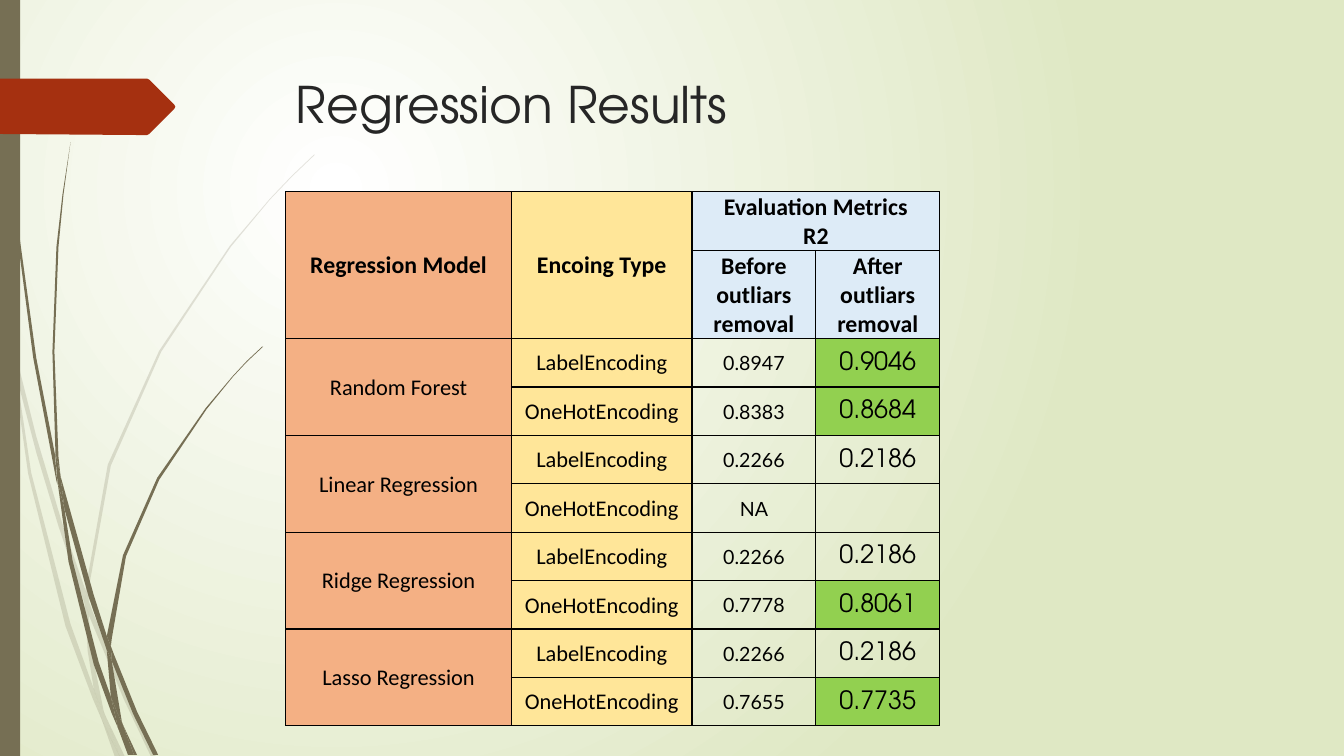
from lxml import etree
from pptx import Presentation
from pptx.dml.color import RGBColor
from pptx.enum.shapes import MSO_SHAPE
from pptx.enum.text import MSO_ANCHOR, PP_ALIGN
from pptx.oxml import parse_xml
from pptx.oxml.ns import nsdecls, qn
from pptx.util import Cm, Pt

RECTANGLE = MSO_SHAPE.RECTANGLE
CENTER, TOP, MIDDLE = PP_ALIGN.CENTER, MSO_ANCHOR.TOP, MSO_ANCHOR.MIDDLE

# Content
TITLE = "Regression Results"
HEADERS = [
    ["Regression Model", "Encoing Type", "Evaluation Metrics\vR2", ""],
    ["", "", "Before outliars removal", "After outliars removal"],
]
ENCODINGS = ["LabelEncoding", "OneHotEncoding"]
# Model, then (before, after, improved) for each encoding
RESULTS = [
    ("Random Forest", [("0.8947", "0.9046", True), ("0.8383", "0.8684", True)]),
    ("Linear Regression", [("0.2266", "0.2186", False), ("NA", "", False)]),
    ("Ridge Regression", [("0.2266", "0.2186", False), ("0.7778", "0.8061", True)]),
    ("Lasso Regression", [("0.2266", "0.2186", False), ("0.7655", "0.7735", True)]),
]

THEME = {
    "title": ("TeX Gyre Adventor", 36, "262626", False),
    "header": ("Calibri", 17, "000000", True),
    "label": ("Calibri", 16, "000000", False),
    "before": ("Lato", 14, "000000", False),
    "after": ("TeX Gyre Adventor", 18, "000000", False),
    "model": "F4B084", "encoding": "FFE699", "metric": "DDEBF7",
    "improved": "92D050", "border": "000000",
    "grass": "766F54", "tag": "A53010",
    "background": ("FFFFFF", "DFE8C4"),
}

# Layout in centimetres
COLUMN_WIDTHS = [5.69, 4.55, 3.12, 3.12]
HEADER_HEIGHTS = [1.48, 2.22]
RESULT_HEIGHT = 1.22
CELL_MARGIN = 0.03

# Outlines as (x, y) corners, in units of OUTLINE_UNIT
OUTLINE_UNIT = Cm(2.54)
PALE_GRASS = [
    [(0.11, 3.5), (0.09, 3.22), (0, 2.82), (0, 2.99), (0.1, 3.44)],
    [(0.58, 5.22), (0.84, 5.99), (0.85, 5.86), (0.62, 5.2), (0.36, 4.33), (0.14, 3.45),
     (0.17, 3.76), (0.36, 4.49)],
    [(0.92, 6.07), (0.88, 5.96), (0.88, 6.1), (1.23, 6.94), (1.5, 7.51), (1.55, 7.51),
     (1.27, 6.92)],
    [(1.19, 7.51), (1.24, 7.51), (1.05, 7.11)],
    [(0.93, 6.83), (0.7, 6.19), (0.31, 4.69), (0.17, 3.76), (0.11, 3.5), (0.28, 4.7),
     (0.65, 6.21), (0.92, 6.93), (1.01, 7.14), (0.99, 7.07)],
    [(0.84, 5.99), (0.87, 6.46), (0.93, 6.83), (0.96, 6.92), (1.05, 7.11), (1.03, 7.06),
     (0.91, 6.46), (0.88, 6.1), (0.88, 6.08)],
    [(0.88, 5.84), (1.1, 4.62), (1.6, 3.49), (2.29, 2.45), (2.68, 1.98), (2.9, 1.75),
     (3.12, 1.54), (3.12, 1.53), (2.89, 1.75), (2.68, 1.97), (2.28, 2.44), (1.58, 3.48),
     (1.07, 4.61), (0.85, 5.84), (0.85, 5.86), (0.88, 5.96)],
    [(1.01, 7.14), (1.14, 7.51), (1.19, 7.51)],
    [(0.88, 6.08), (0.88, 6.1), (0.88, 5.96), (0.85, 5.86), (0.84, 5.99)],
    [(0.96, 6.92), (0.93, 6.83), (0.99, 7.07), (1.01, 7.14), (1.19, 7.51), (1.05, 7.11)],
]
DARK_GRASS = [
    [(0.07, 1.1), (0.17, 2.33), (0.33, 3.55), (0.56, 4.77), (0.57, 4.81), (0.55, 4.57),
     (0.55, 4.53), (0.36, 3.55), (0.19, 2.32), (0.08, 1.09), (0.05, 0.48), (0.04, 0),
     (0.03, 0), (0.04, 0.48)],
    [(0.88, 5.92), (1.06, 6.45), (1.06, 6.33), (1.06, 6.31), (0.93, 5.9), (0.6, 4.72),
     (0.64, 5.05)],
    [(1.13, 6.49), (1.1, 6.41), (1.11, 6.56), (1.32, 7.08), (1.52, 7.49), (1.57, 7.49),
     (1.36, 7.06)],
    [(1.1, 6.91), (0.98, 6.57), (0.72, 5.56), (0.64, 5.05), (0.57, 4.77), (0.68, 5.57),
     (0.93, 6.59), (1.11, 7.08), (1.17, 7.22), (1.16, 7.17)],
    [(0.6, 4.72), (0.58, 4.53), (0.54, 3.49), (0.58, 2.45), (0.63, 1.93), (0.7, 1.41),
     (0.62, 1.93), (0.56, 2.45), (0.52, 3.49), (0.55, 4.49)],
    [(1.33, 7.49), (1.36, 7.49), (1.22, 7.19)],
    [(0.57, 4.77), (0.64, 5.05), (0.6, 4.72), (0.55, 4.49), (0.55, 4.53)],
    [(1.11, 6.33), (1.25, 5.52), (1.58, 4.76), (2.05, 4.06), (2.31, 3.74), (2.45, 3.59),
     (2.61, 3.44), (2.6, 3.44), (2.45, 3.58), (2.31, 3.73), (2.04, 4.05), (1.56, 4.74),
     (1.22, 5.51), (1.06, 6.31), (1.1, 6.41)],
    [(1.17, 7.22), (1.27, 7.49), (1.31, 7.49)],
    [(1.06, 6.45), (1.1, 6.91), (1.16, 7.06), (1.22, 7.19), (1.21, 7.16), (1.11, 6.56),
     (1.09, 6.51)],
    [(1.06, 6.45), (1.09, 6.51), (1.11, 6.56), (1.1, 6.41), (1.06, 6.31), (1.06, 6.33)],
    [(1.16, 7.06), (1.1, 6.91), (1.16, 7.17), (1.17, 7.22), (1.3, 7.49), (1.33, 7.49),
     (1.22, 7.19)],
]
ARROW_TAG = [(1.73, 1.08), (1.48, 1.33), (1.46, 1.34), (1.36, 1.34), (0, 1.33), (0, 0.78),
             (1.46, 0.78), (1.48, 0.79), (1.73, 1.04), (1.74, 1.06)]


def color(value):
    return RGBColor.from_string(value)


def paint(shape, fill):
    shape.shadow.inherit = False
    shape.fill.solid()
    shape.fill.fore_color.rgb = color(fill)
    shape.line.fill.background()


def style_text(frame, style):
    name, size, ink, bold = THEME[style]
    for para in frame.paragraphs:
        para.font.size = Pt(size)
        for span in para.runs:
            span.font.name, span.font.size, span.font.bold = name, Pt(size), bold
            span.font.color.rgb = color(ink)


def add_outline(page, corners, fill, opacity=100):
    points = [(x * OUTLINE_UNIT, y * OUTLINE_UNIT) for x, y in corners]
    builder = page.shapes.build_freeform(*points[0])
    builder.add_line_segments(points[1:], close=True)
    shape = builder.convert_to_shape()
    paint(shape, fill)
    if opacity < 100:
        ink = shape.fill._xPr.find(".//" + qn("a:srgbClr"))
        etree.SubElement(ink, qn("a:alpha"), val=str(opacity * 1000))


def set_background(page):
    fill = page.background.fill
    fill.gradient()
    for stop, value in zip(fill.gradient_stops, THEME["background"]):
        stop.color.rgb = color(value)
    gradient = page.element.find(".//" + qn("a:gradFill"))
    gradient.replace(gradient.find(qn("a:lin")), parse_xml(
        f'<a:path {nsdecls("a")} path="circle">'
        '<a:fillToRect l="50000" t="50000" r="100000" b="100000"/></a:path>'))


def fill_cell(cell, text, style, fill):
    cell.text_frame.text = text
    style_text(cell.text_frame, style)
    cell.text_frame.paragraphs[0].alignment = CENTER
    cell.vertical_anchor = MIDDLE
    cell.margin_left = cell.margin_right = cell.margin_top = Cm(CELL_MARGIN)
    cell.margin_bottom = 0
    if fill:
        cell.fill.solid()
        cell.fill.fore_color.rgb = color(THEME[fill])
    else:
        cell.fill.background()
    for i, side in enumerate("LRTB"):
        cell._tc.get_or_add_tcPr().insert(i, parse_xml(
            f'<a:ln{side} {nsdecls("a")} w="12700"><a:solidFill>'
            f'<a:srgbClr val="{THEME["border"]}"/></a:solidFill></a:ln{side}>'))


def add_results_table(page):
    heights = HEADER_HEIGHTS + [RESULT_HEIGHT] * (len(RESULTS) * len(ENCODINGS))
    table = page.shapes.add_table(
        len(heights), len(COLUMN_WIDTHS), Cm(7.2), Cm(4.83),
        Cm(sum(COLUMN_WIDTHS)), Cm(sum(heights))).table
    table.first_row = table.horz_banding = False
    for column, width in zip(table.columns, COLUMN_WIDTHS):
        column.width = Cm(width)
    for row, height in zip(table.rows, heights):
        row.height = Cm(height)

    rows = [[(text, "header", fill) for text, fill in
             zip(texts, ["model", "encoding", "metric", "metric"])] for texts in HEADERS]
    for model, scores in RESULTS:
        for i, (before, after, improved) in enumerate(scores):
            rows.append([("" if i else model, "label", "model"),
                         (ENCODINGS[i], "label", "encoding"),
                         (before, "before", None),
                         (after, "after", "improved" if improved else None)])
    for r, row in enumerate(rows):
        for c, content in enumerate(row):
            fill_cell(table.cell(r, c), *content)

    # Merged headers and model names
    table.cell(0, 1).merge(table.cell(1, 1))
    table.cell(0, 2).merge(table.cell(0, 3))
    for r in range(0, len(rows), 2):
        table.cell(r, 0).merge(table.cell(r + 1, 0))


# Slide
deck = Presentation()
deck.slide_width, deck.slide_height = Cm(33.87), Cm(19.05)
page = deck.slides.add_slide(deck.slide_layouts[6])
set_background(page)

# Grass, side bar and arrow tag
for blades, opacity in ((PALE_GRASS, 20), (DARK_GRASS, 100)):
    for blade in blades:
        add_outline(page, blade, THEME["grass"], opacity)
bar = page.shapes.add_shape(RECTANGLE, 0, 0, Cm(0.51), deck.slide_height)
paint(bar, THEME["grass"])
add_outline(page, ARROW_TAG, THEME["tag"])

# Title
box = page.shapes.add_textbox(Cm(7.21), Cm(1.73), Cm(24.77), Cm(3.56))
box.text_frame.word_wrap = True
box.text_frame.vertical_anchor = TOP
box.text_frame.text = TITLE
style_text(box.text_frame, "title")

add_results_table(page)
deck.save("out.pptx")
